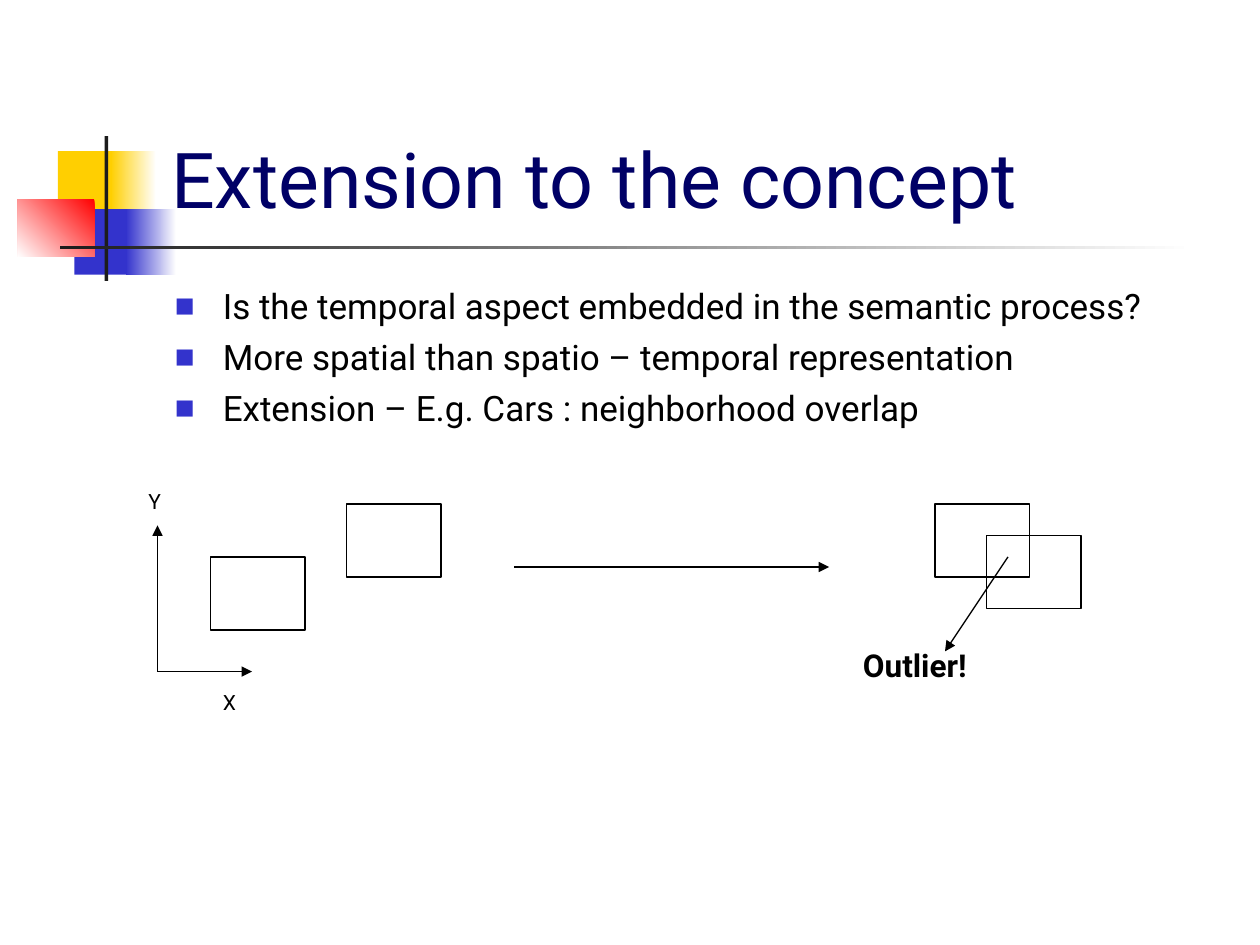
from lxml.etree import SubElement
from pptx import Presentation
from pptx.dml.color import RGBColor
from pptx.enum.shapes import MSO_CONNECTOR, MSO_SHAPE
from pptx.enum.text import MSO_ANCHOR
from pptx.oxml.ns import qn
from pptx.util import Inches, Pt

FONT = "Roboto"
WHITE = RGBColor(0xFF, 0xFF, 0xFF)
BLACK = RGBColor(0, 0, 0)
NAVY = RGBColor(0x00, 0x00, 0x66)
BLUE = RGBColor(0x33, 0x33, 0xCC)
YELLOW = RGBColor(0xFF, 0xCF, 0x01)
RED = RGBColor(0xFF, 0x00, 0x00)
CHARCOAL = RGBColor(0x1C, 0x1C, 0x1C)

# Content: boxes are (left, top, width, height) in inches
TITLE = "Extension to the concept"
BULLETS = [
    "Is the temporal aspect embedded in the semantic process?",
    "More spatial than spatio – temporal representation",
    "Extension – E.g. Cars : neighborhood overlap",
]
# Decoration: box, colours from start to end, counter-clockwise angle
DECORATION = [
    ((0.46, 1.2, 0.48, 0.52), [YELLOW], 0),
    ((0.88, 1.2, 0.36, 0.52), [WHITE, YELLOW], 180),
    ((0.59, 1.66, 0.46, 0.52), [BLUE], 0),
    ((1, 1.66, 0.4, 0.52), [WHITE, BLUE], 180),
    ((0.14, 1.58, 0.61, 0.46), [RED, WHITE], 225),
    ((0.83, 1.08, 0.03, 1.15), [CHARCOAL], 0),
    ((0.48, 1.95, 9, 0.03), [WHITE, CHARCOAL], 180),
]
CAR_SIZE = (0.75, 0.58)
CAR_CORNERS = [(1.67, 4.42), (2.75, 4), (7.42, 4), (7.83, 4.25)]
ORIGIN = (1.25, 5.33)
ARROWS = [
    ((8, 4.42), (7.5, 5.17)),     # overlap to outlier label
    ((4.08, 4.5), (6.58, 4.5)),   # before to after
    (ORIGIN, (1.25, 4.17)),       # y axis
    (ORIGIN, (2, 5.33)),          # x axis
]
# Labels: text, box, size, space before, bold
LABELS = [
    ("X", (1.67, 5.42, 0.33, 0.3), 12, 7.5, False),
    ("Outlier!", (6.75, 5.08, 1.25, 0.4), 18, 11.2, True),
    ("Y", (1.08, 3.83, 0.75, 0.3), 12, 7.5, False),
]


def add_rectangle(slide, box):
    shape = slide.shapes.add_shape(MSO_SHAPE.RECTANGLE, *map(Inches, box))
    shape.shadow.inherit = False
    return shape


def add_decoration(slide, box, colors, angle):
    shape = add_rectangle(slide, box)
    shape.line.fill.background()
    if len(colors) == 1:
        shape.fill.solid()
        shape.fill.fore_color.rgb = colors[0]
        return
    shape.fill.gradient()
    shape.fill.gradient_angle = angle
    for stop, color in zip(shape.fill.gradient_stops, colors):
        stop.color.rgb = color


def add_car(slide, box):
    shape = add_rectangle(slide, box)
    shape.fill.background()
    shape.line.color.rgb = BLACK
    shape.line.width = Pt(0.75)


def add_arrow(slide, start, end):
    arrow = slide.shapes.add_connector(
        MSO_CONNECTOR.STRAIGHT, *map(Inches, start + end))
    arrow.line.color.rgb = BLACK
    arrow.line.width = Pt(0.75)
    SubElement(arrow.line._get_or_add_ln(), qn("a:tailEnd"), type="triangle")
    SubElement(arrow._element.spPr, qn("a:effectLst"))


def add_text(slide, lines, box, size, color=BLACK, before=0, bold=False,
             anchor=MSO_ANCHOR.TOP):
    frame = slide.shapes.add_textbox(*map(Inches, box)).text_frame
    frame.word_wrap = True
    frame.vertical_anchor = anchor
    for index, line in enumerate(lines):
        paragraph = frame.add_paragraph() if index else frame.paragraphs[0]
        paragraph.space_before = Pt(before)
        run = paragraph.add_run()
        run.text = line
        run.font.name = FONT
        run.font.size = Pt(size)
        run.font.bold = bold
        run.font.color.rgb = color
    return frame


def add_bullet(paragraph):
    properties = paragraph._p.get_or_add_pPr()
    properties.set("marL", str(Inches(0.38)))
    properties.set("indent", str(Inches(-0.38)))
    color = SubElement(properties, qn("a:buClr"))
    SubElement(color, qn("a:srgbClr"), val=str(BLUE))
    SubElement(properties, qn("a:buSzPct"), val="60000")
    SubElement(properties, qn("a:buFont"), typeface=FONT)
    SubElement(properties, qn("a:buChar"), char="■")


def main():
    presentation = Presentation()
    presentation.slide_width = Inches(10)
    presentation.slide_height = Inches(7.5)
    slide = presentation.slides.add_slide(presentation.slide_layouts[6])

    # Coloured blocks and rules beside the title
    for box, colors, angle in DECORATION:
        add_decoration(slide, box, colors, angle)

    # Title and bullets
    add_text(slide, [TITLE], (1.26, 0.23, 8.52, 1.6), 44, NAVY,
             anchor=MSO_ANCHOR.BOTTOM)
    body = add_text(slide, BULLETS, (1.29, 2.21, 8.5, 4.5), 20, before=5)
    for paragraph in body.paragraphs:
        add_bullet(paragraph)

    # Diagram
    for corner in CAR_CORNERS:
        add_car(slide, corner + CAR_SIZE)
    for start, end in ARROWS:
        add_arrow(slide, start, end)
    for text, box, size, before, bold in LABELS:
        add_text(slide, [text], box, size, before=before, bold=bold)

    presentation.save("out.pptx")


if __name__ == "__main__":
    main()
